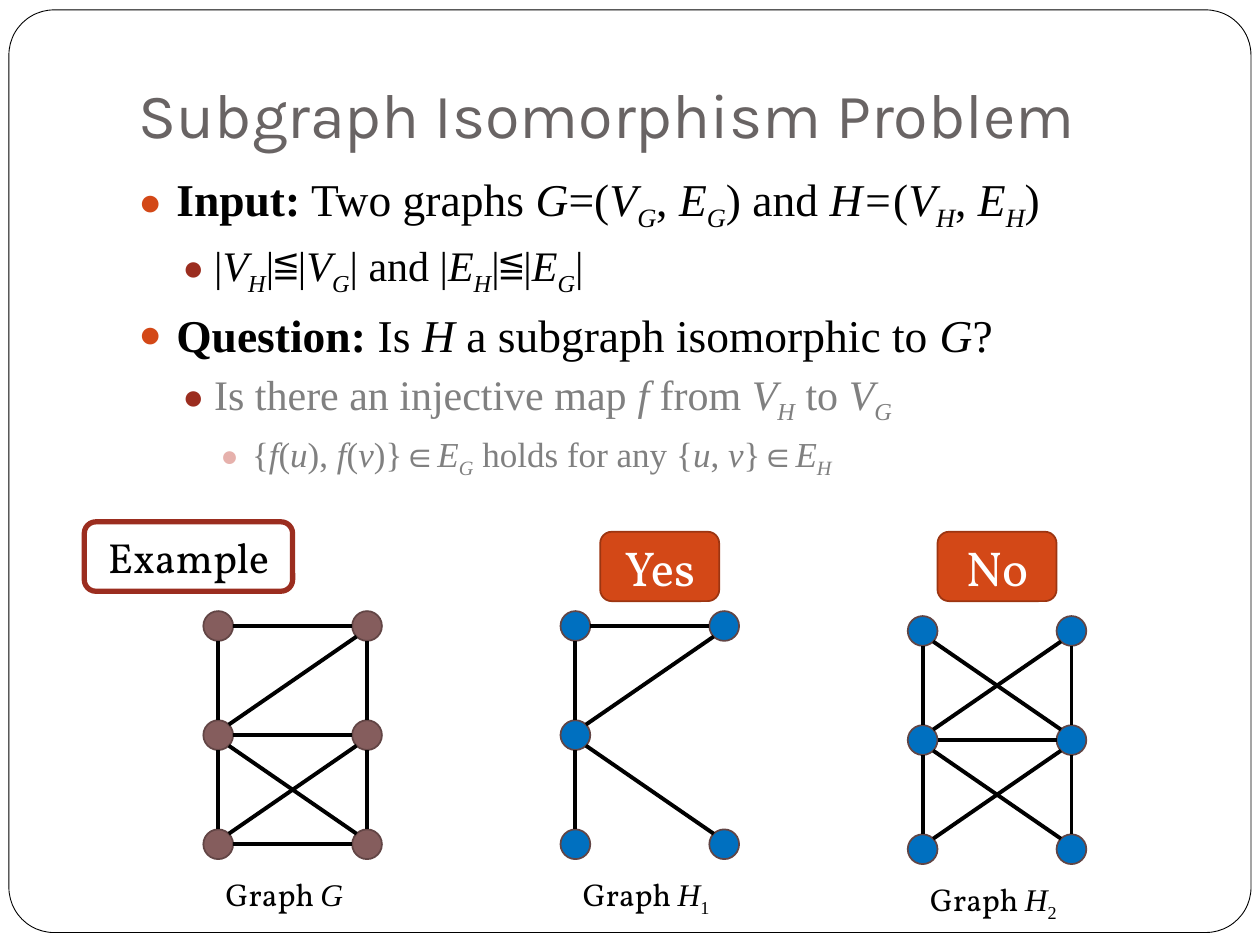
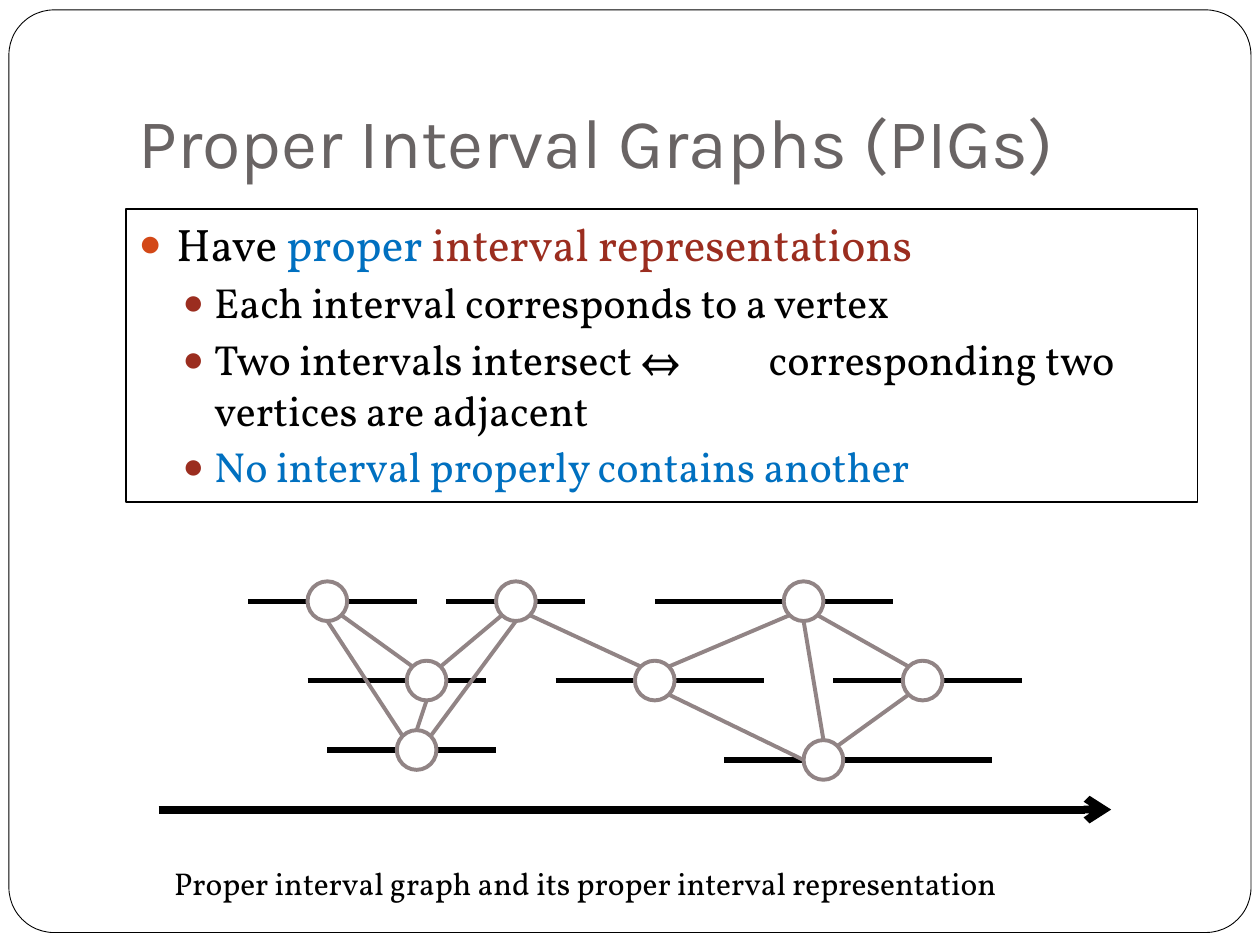
from dataclasses import dataclass
from math import atan2, cos, pi, sin
from typing import NamedTuple, Optional

from lxml.etree import SubElement
from pptx import Presentation
from pptx.dml.color import RGBColor
from pptx.enum.shapes import MSO_CONNECTOR, MSO_SHAPE
from pptx.enum.text import MSO_ANCHOR, MSO_AUTO_SIZE, PP_ALIGN
from pptx.oxml.ns import qn
from pptx.util import Emu, Inches, Pt

SLIDE_W, SLIDE_H = Inches(10), Inches(7.5)
UNIT = SLIDE_W // 127  # all places below are columns and rows of this grid

BLACK = RGBColor(0x00, 0x00, 0x00)
WHITE = RGBColor(0xFF, 0xFF, 0xFF)
GRAY = RGBColor(0x80, 0x80, 0x80)
TITLE_GRAY = RGBColor(0x69, 0x64, 0x64)
ORANGE = RGBColor(0xD3, 0x48, 0x17)
DARK_ORANGE = RGBColor(0x9C, 0x35, 0x11)
RED = RGBColor(0x9B, 0x2D, 0x1F)
PINK = RGBColor(0xE6, 0xB1, 0xAC)
BLUE = RGBColor(0x00, 0x70, 0xC0)
BROWN = RGBColor(0x85, 0x5D, 0x5D)
DARK_BROWN = RGBColor(0x62, 0x45, 0x45)
TAUPE = RGBColor(0x91, 0x84, 0x85)

HEADING, SERIF, MATH = "Karla", "Vollkorn", "Times New Roman"


class Box(NamedTuple):
    """A rectangle in grid units."""
    x: float
    y: float
    w: float
    h: float


class Point(NamedTuple):
    """A place or a direction in grid units."""
    x: float
    y: float


class Level(NamedTuple):
    """The format of one list level."""
    size: float
    margin: float
    hang: float
    before: float
    bullet: RGBColor


class Item(NamedTuple):
    """A list item: its level and its (text, colour) spans."""
    level: int
    spans: list


class Edge(NamedTuple):
    """An edge between two node numbers, with optional angles (in eighths of a turn)."""
    a: int
    b: int
    a_site: Optional[int] = None
    b_site: Optional[int] = None


@dataclass
class Graph:
    """A graph on two columns and three rows, numbered row by row."""
    name: str
    origin: Point
    color: RGBColor
    nodes: list
    edges: list


@dataclass
class Badge:
    """A rounded label."""
    text: str
    box: Box
    size: float
    fill: Optional[RGBColor]
    line: RGBColor
    width: float
    color: RGBColor


LEVELS = [Level(26, 0.3, 0.3, 5.8, ORANGE),
          Level(24, 0.6, 0.25, 3.7, RED),
          Level(20, 0.9, 0.25, 3.7, PINK)]


def u(n: float) -> Emu:
    """Turn grid units into a length."""
    return Emu(round(n * UNIT))


def place(sp, box: Box) -> None:
    """Move a shape to a grid box."""
    sp.left, sp.top, sp.width, sp.height = map(u, box)


def add_text(p, text: str, *, size: float, font: str, color: RGBColor) -> None:
    """Add runs to a paragraph; ^ toggles bold, * italic and _ subscript."""
    flags = {"^": False, "*": False, "_": False}
    part = ""
    for ch in text + "\0":
        if ch not in flags and ch != "\0":
            part += ch
            continue
        if part:
            r = p.add_run()
            r.text = part
            r.font.size, r.font.name = Pt(size), font
            r.font.color.rgb = color
            r.font.bold, r.font.italic = flags["^"], flags["*"]
            if flags["_"]:
                r.font._element.set("baseline", "-25000")
            part = ""
        if ch in flags:
            flags[ch] = not flags[ch]


def add_shape(shapes, kind, box: Box, *, fill, line, width: float):
    """Add a preset shape without shadow."""
    sp = shapes.add_shape(kind, *map(u, box))
    sp.shadow.inherit = False
    paint(sp, fill, line, width)
    return sp


def paint(sp, fill, line: RGBColor, width: float) -> None:
    """Set fill (None for no fill) and outline."""
    if fill is None:
        sp.fill.background()
    else:
        sp.fill.solid()
        sp.fill.fore_color.rgb = fill
    sp.line.color.rgb = line
    sp.line.width = Pt(width)


def add_line(shapes, a: Point, b: Point, *, color=BLACK, width: float, arrow=False) -> None:
    """Draw a straight line, with an arrowhead at its end if wanted."""
    c = shapes.add_connector(MSO_CONNECTOR.STRAIGHT, u(a.x), u(a.y), u(b.x), u(b.y))
    c.line.color.rgb = color
    c.line.width = Pt(width)
    if arrow:
        SubElement(c.line._get_or_add_ln(), qn("a:tailEnd"), type="arrow")
    SubElement(c.element.spPr, qn("a:effectLst"))


def add_label(shapes, box: Box, spans: list) -> None:
    """Add a caption of (text, font) spans."""
    tf = shapes.add_textbox(*map(u, box)).text_frame
    tf.word_wrap = True
    tf.auto_size = MSO_AUTO_SIZE.SHAPE_TO_FIT_TEXT
    for text, font in spans:
        add_text(tf.paragraphs[0], text, size=18, font=font, color=BLACK)


def add_badge(shapes, badge: Badge) -> None:
    """Draw a rounded label with centred text."""
    sp = add_shape(shapes, MSO_SHAPE.ROUNDED_RECTANGLE, badge.box,
                   fill=badge.fill, line=badge.line, width=badge.width)
    tf = sp.text_frame
    tf.vertical_anchor = MSO_ANCHOR.MIDDLE
    p = tf.paragraphs[0]
    p.alignment = PP_ALIGN.CENTER
    add_text(p, badge.text, size=badge.size, font=SERIF, color=badge.color)


def add_nodes(shapes, centers: list, size: float, *, fill, line, width: float) -> None:
    """Draw a circle round each centre."""
    for x, y in centers:
        add_shape(shapes, MSO_SHAPE.OVAL, Box(x - size / 2, y - size / 2, size, size),
                  fill=fill, line=line, width=width)


def site(center: Point, other: Point, size: float, eighth: Optional[int]) -> Point:
    """Give the connection site of a circle that faces another point."""
    if eighth is None:
        eighth = round(atan2(other.y - center.y, other.x - center.x) / (pi / 4))
    angle = eighth * pi / 4
    return Point(center.x + size / 2 * cos(angle), center.y + size / 2 * sin(angle))


def add_edges(shapes, centers: list, edges: list, size: float, color: RGBColor) -> None:
    """Join circles from rim to rim."""
    for e in edges:
        a, b = centers[e.a], centers[e.b]
        add_line(shapes, site(a, b, size, e.a_site), site(b, a, size, e.b_site),
                 color=color, width=2.25)


def add_graph(slide, graph: Graph) -> None:
    """Draw a small graph and its name as one group."""
    shapes = slide.shapes.add_group_shape().shapes
    x, y = graph.origin
    centers = [Point(x + 15 * (i % 2), y + 11 * (i // 2)) for i in range(6)]
    add_nodes(shapes, [centers[i] for i in graph.nodes], 3,
              fill=graph.color, line=DARK_BROWN, width=1)
    add_edges(shapes, centers, graph.edges, 3, BLACK)
    add_label(shapes, Box(x - 0.5, y + 24.5, 18, 5.1),
              [("Graph ", SERIF), (graph.name, MATH)])


def add_frame(prs, slide) -> None:
    """Put the rounded page frame at the back of the slide master."""
    sp = add_shape(slide.shapes, MSO_SHAPE.ROUNDED_RECTANGLE, Box(0.9, 1, 125.2, 93),
                   fill=WHITE, line=BLACK, width=0.5)
    sp.adjustments[0] = 0.049
    sp.element.xpath(".//p:cNvPr")[0].set("id", "99")
    prs.slide_master.shapes.element.insert(2, sp.element)


def add_slide(prs, title: str, size: float, top: float):
    """Add a slide with its title."""
    slide = prs.slides.add_slide(prs.slide_layouts[1])
    sp = slide.shapes.title
    place(sp, Box(12.7, top, 108, 15.9))
    tf = sp.text_frame
    tf.word_wrap, tf.auto_size = True, MSO_AUTO_SIZE.NONE
    tf.vertical_anchor = MSO_ANCHOR.BOTTOM
    tf.margin_bottom = Inches(0.1)
    p = tf.paragraphs[0]
    p.alignment = PP_ALIGN.LEFT
    add_text(p, title, size=size, font=HEADING, color=TITLE_GRAY)
    return slide


def fill_body(slide, box: Box, items: list, font: str):
    """Write the bulleted list into the body placeholder."""
    sp = slide.placeholders[1]
    place(sp, box)
    tf = sp.text_frame
    tf.word_wrap, tf.auto_size = True, MSO_AUTO_SIZE.NONE
    for i, item in enumerate(items):
        p = tf.paragraphs[0] if i == 0 else tf.add_paragraph()
        level = LEVELS[item.level]
        p.level = item.level
        p.space_before = Pt(level.before)
        pPr = p._p.get_or_add_pPr()
        pPr.set("marL", str(Inches(level.margin)))
        pPr.set("indent", str(-Inches(level.hang)))
        SubElement(SubElement(pPr, qn("a:buClr")), qn("a:srgbClr"), val=str(level.bullet))
        SubElement(pPr, qn("a:buSzPct"), val="85000")
        SubElement(pPr, qn("a:buChar"), char="●")
        for text, color in item.spans:
            add_text(p, text, size=level.size, font=font, color=color)
    return sp


def build_isomorphism(prs) -> None:
    """Build the slide on subgraph isomorphism."""
    slide = add_slide(prs, "Subgraph Isomorphism Problem", 36, 0.65)
    add_frame(prs, slide)
    fill_body(slide, Box(12.7, 16.6, 108, 32.5), [
        Item(0, [("^Input:^ Two graphs *G*=(*V_G_*, *E_G_*) and *H=*(*V_H_*, *E_H_*)", BLACK)]),
        Item(1, [("|*V_H_*|≦|*V_G_*| and |*E_H_*|≦|*E_G_*|", BLACK)]),
        Item(0, [("^Question:^ Is *H* a subgraph isomorphic to *G*?", BLACK)]),
        Item(1, [("Is there an injective map *f *from *V_H_* to *V_G_*", GRAY)]),
        Item(2, [("{*f*(*u*), *f*(*v*)}∈*E_G_* holds for any {*u*, *v*}∈*E_H_*", GRAY)]),
    ], MATH)
    add_badge(slide.shapes, Badge("Example", Box(8.5, 52.6, 21, 7), 24, None, RED, 3, BLACK))
    sides = [Edge(0, 2), Edge(1, 3), Edge(3, 5), Edge(2, 4)]
    cross = [Edge(1, 2), Edge(2, 3), Edge(3, 4), Edge(2, 5)]
    for graph in (
        Graph("*G*", Point(22, 63.1), BROWN, list(range(6)),
              sides + cross + [Edge(0, 1), Edge(4, 5)]),
        Graph("*H*_1_", Point(58, 63.1), BLUE, [0, 1, 2, 4, 5],
              [Edge(0, 2), Edge(1, 2), Edge(0, 1), Edge(2, 4), Edge(2, 5)]),
        Graph("*H*_2_", Point(93, 63.6), BLUE, list(range(6)),
              sides + cross + [Edge(0, 3)]),
    ):
        add_graph(slide, graph)
    for text, x in (("Yes", 60.5), ("No", 94.5)):
        add_badge(slide.shapes,
                  Badge(text, Box(x, 53.6, 12, 7), 28, ORANGE, DARK_ORANGE, 1, WHITE))


def build_intervals(prs) -> None:
    """Build the slide on proper interval graphs."""
    slide = add_slide(prs, "Proper Interval Graphs (PIGs)", 40, 3.8)
    body = fill_body(slide, Box(12.7, 21.1, 108, 29.5), [
        Item(0, [("Have ", BLACK), ("proper", BLUE), (" interval representations", RED)]),
        Item(1, [("Each interval corresponds to a vertex", BLACK)]),
        Item(1, [("Two intervals intersect ⇔\t\tcorresponding two vertices are adjacent", BLACK)]),
        Item(1, [("No interval properly contains another", BLUE)]),
    ], SERIF)
    paint(body, WHITE, BLACK, 1)

    top = 60.6
    # each interval: row, left end, right end, column of its vertex
    intervals = [(0, 25, 42, 33), (0, 45, 59, 52), (8, 31, 49, 43), (15, 33, 50, 42),
                 (8, 56, 77, 66), (0, 66, 90, 81), (8, 84, 103, 93), (16, 73, 100, 83)]
    lines = slide.shapes.add_group_shape().shapes
    for row, left, right, _ in intervals:
        add_line(lines, Point(left, top + row), Point(right, top + row), width=3)
    add_line(lines, Point(16, top + 21), Point(112, top + 21), width=4.5, arrow=True)
    add_label(slide.shapes, Box(16.3, 86.5, 94.5, 5.1),
              [("Proper interval graph and its proper interval representation", SERIF)])

    centers = [Point(col, top + row) for row, _, _, col in intervals]
    graph = slide.shapes.add_group_shape().shapes
    add_nodes(graph, centers, 4, fill=WHITE, line=TAUPE, width=2.25)
    add_edges(graph, centers, [
        Edge(0, 2), Edge(2, 1), Edge(3, 2), Edge(3, 0, -3, 2), Edge(3, 1, -1, 2), Edge(4, 1),
        Edge(7, 4, 4, 1), Edge(7, 5), Edge(7, 6), Edge(6, 5), Edge(4, 5)], 4, TAUPE)


prs = Presentation()
prs.slide_width, prs.slide_height = SLIDE_W, SLIDE_H
build_isomorphism(prs)
build_intervals(prs)
prs.save("out.pptx")
